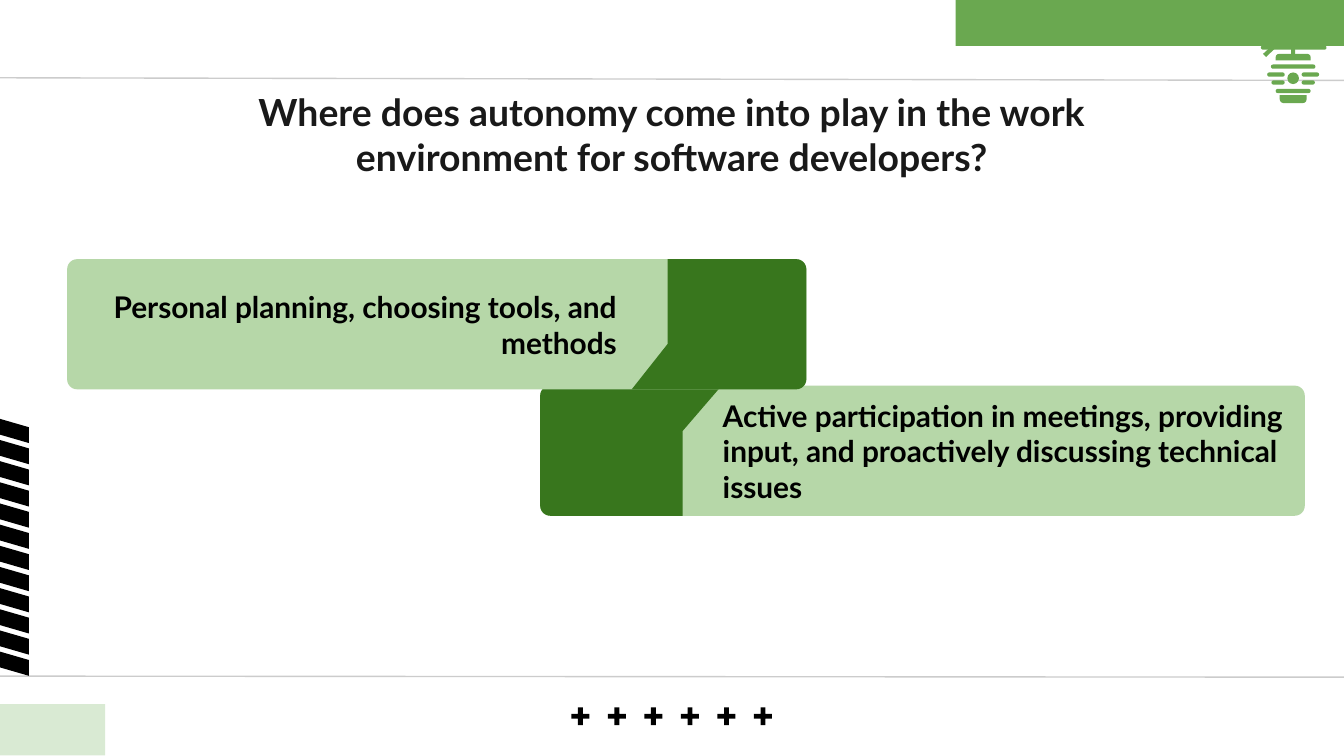
from dataclasses import dataclass
from math import cos, pi, sin

from lxml import etree
from pptx import Presentation
from pptx.dml.color import RGBColor
from pptx.enum import shapes as kinds, text as txt
from pptx.oxml.ns import qn
from pptx.util import Cm, Pt

SHAPE = kinds.MSO_SHAPE


@dataclass(frozen=True)
class Theme:
    font: str = "Lato"
    title_size: int = 20
    body_size: int = 16
    title: str = "191919"
    ink: str = "000000"
    rule: str = "CCCCCC"
    band: str = "6AA850"
    pale: str = "D9EAD3"
    card: str = "B6D7A8"
    accent: str = "38761D"


THEME = Theme()


def paint(shape, color):
    shape.shadow.inherit = False
    shape.fill.solid()
    shape.fill.fore_color.rgb = RGBColor.from_string(color)
    shape.line.fill.background()


def add_solid(slide, kind, box, color, adjustments=()):
    shape = slide.shapes.add_shape(kind, *map(Cm, box))
    for index, value in enumerate(adjustments):
        shape.adjustments[index] = value
    paint(shape, color)
    return shape


def add_polygon(slide, points, color):
    corners = [(Cm(x), Cm(y)) for x, y in points]
    builder = slide.shapes.build_freeform(*corners[0], scale=1.0)
    builder.add_line_segments(corners[1:], close=True)
    paint(builder.convert_to_shape(), color)


def add_rule(slide, start, end):
    rule = slide.shapes.add_connector(
        kinds.MSO_CONNECTOR.STRAIGHT, *map(Cm, start + end))
    rule.line.color.rgb = RGBColor.from_string(THEME.rule)
    rule.line.width = Pt(0.75)
    etree.SubElement(rule._element.spPr, qn("a:effectLst"))


def add_text(slide, box, words, size, color, align):
    frame = slide.shapes.add_textbox(*map(Cm, box)).text_frame
    frame.word_wrap = True
    frame.vertical_anchor = txt.MSO_ANCHOR.MIDDLE
    frame.margin_left = frame.margin_right = Cm(0.25)
    frame.margin_top = frame.margin_bottom = Cm(0.25)
    paragraph = frame.paragraphs[0]
    paragraph.text = words
    paragraph.alignment = align
    font = paragraph.font
    font.name, font.size, font.bold = THEME.font, Pt(size), True
    font.color.rgb = RGBColor.from_string(color)


def add_card(slide, left, top, width, wide, narrow, accent_right):
    """A rounded card with a dark end, whose inner edge slants out to `wide`."""
    height, radius, slant = 2.46, 0.19, 0.86
    add_solid(slide, SHAPE.ROUNDED_RECTANGLE, (left, top, width, height),
              THEME.card, [radius / height])

    # Outline measured from the outer corner on the wide side
    outline = [(wide, 0), (narrow, slant), (narrow, height)]
    for center_y, first_angle in ((height - radius, pi / 2), (radius, pi)):
        for step in range(9):
            angle = first_angle + step * pi / 16
            outline.append((radius + radius * cos(angle),
                            center_y + radius * sin(angle)))
    if accent_right:
        outline = [(width - x, height - y) for x, y in outline]
    add_polygon(slide, [(left + x, top + y) for x, y in outline], THEME.accent)


def add_hive(slide):
    middle, bar = 24.44, 0.08
    # Branch, twig and stem
    add_solid(slide, SHAPE.ROUNDED_RECTANGLE, (23.83, 0.86, 1.24, bar),
              THEME.band, [0.5])
    add_polygon(slide, [(23.98, 0.92), (23.87, 1.02), (23.93, 1.08),
                        (24.09, 0.92)], THEME.band)
    add_solid(slide, SHAPE.RECTANGLE, (middle - bar / 2, 0.93, bar, 0.1),
              THEME.band)
    # Cap and base
    for top, width, height, corners in ((1.02, 0.66, 0.12, (0.5, 0)),
                                        (1.8, 0.51, 0.15, (0, 0.5))):
        add_solid(slide, SHAPE.ROUND_2_SAME_RECTANGLE,
                  (middle - width / 2, top, width, height), THEME.band, corners)
    # Full bars, then the pairs beside the entrance
    bars = [(middle - width / 2, top, width)
            for top, width in ((1.22, 0.84), (1.68, 0.66))]
    for top, width in ((1.37, 0.33), (1.52, 0.25)):
        bars += [(middle - 0.16 - width, top, width), (middle + 0.16, top, width)]
    for left, top, width in bars:
        add_solid(slide, SHAPE.ROUNDED_RECTANGLE, (left, top, width, bar),
                  THEME.band, [0.5])
    add_solid(slide, SHAPE.OVAL, (middle - 0.11, 1.37, 0.22, 0.22), THEME.band)


def add_decoration(slide):
    add_rule(slide, (-0.1, 1.47), (25.5, 1.52))
    add_rule(slide, (-0.1, 12.78), (25.5, 12.8))
    # Stripes on the left edge
    for index in range(12):
        stripe = add_solid(slide, SHAPE.PARALLELOGRAM,
                           (-0.23, 7.6 + 0.4 * index, 0.58, 0.97),
                           THEME.ink, [0.485])
        stripe.rotation = 90
    # Row of plus signs
    for index in range(6):
        add_solid(slide, SHAPE.MATH_PLUS,
                  (10.74 + 0.69 * index, 13.31, 0.46, 0.46), THEME.ink, [0.197])
    # Corner bands
    add_solid(slide, SHAPE.RECTANGLE, (18.06, -0.1, 7.37, 0.97), THEME.band)
    add_hive(slide)
    add_solid(slide, SHAPE.RECTANGLE, (-5.38, 13.31, 7.37, 0.97), THEME.pale)


def main():
    deck = Presentation()
    deck.slide_width, deck.slide_height = Cm(25.4), Cm(14.29)
    slide = deck.slides.add_slide(deck.slide_layouts[6])

    add_decoration(slide)

    # Title
    add_text(slide, (3.68, 1.73, 18.03, 1.6),
             "Where does autonomy come into play in the work environment "
             "for software developers?",
             THEME.title_size, THEME.title, txt.PP_ALIGN.CENTER)

    # Interlocking cards, the left one in front
    add_card(slide, 10.21, 7.29, 14.45, 3.43, 2.69, accent_right=False)
    add_card(slide, 1.27, 4.9, 13.97, 3.3, 2.62, accent_right=True)

    # Card texts
    for left, top, words, align in (
            (13.41, 7.24, "Active participation in meetings, providing input, "
             "and proactively discussing technical issues",
             txt.PP_ALIGN.LEFT),
            (0.28, 4.85, "Personal planning, choosing tools, and methods",
             txt.PP_ALIGN.RIGHT)):
        add_text(slide, (left, top, 11.63, 2.57), words,
                 THEME.body_size, THEME.ink, align)

    deck.save("out.pptx")


if __name__ == "__main__":
    main()
